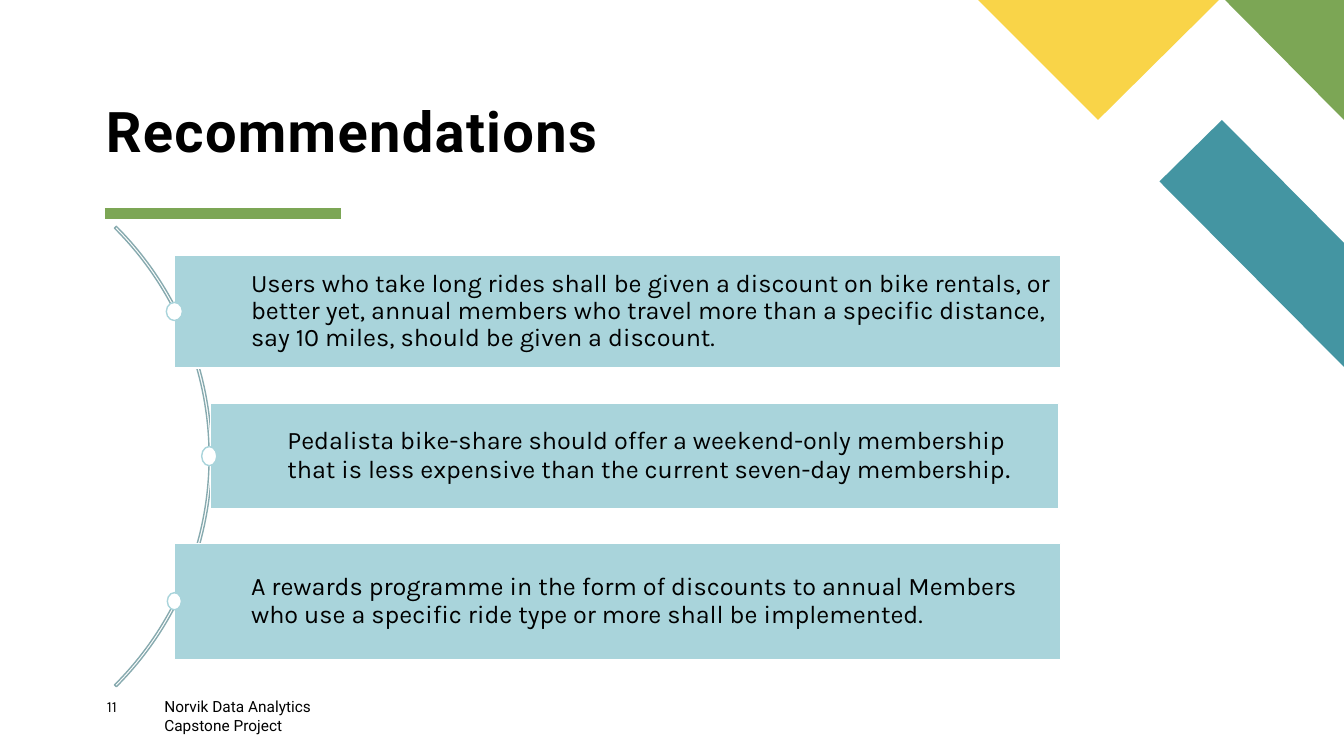
from pptx import Presentation
from pptx.dml.color import RGBColor
from pptx.enum.shapes import MSO_CONNECTOR, MSO_SHAPE
from pptx.enum.text import MSO_ANCHOR, PP_ALIGN
from pptx.util import Inches, Pt
from lxml.etree import SubElement
from pptx.oxml.ns import qn

COLORS = {
    "ink": "000000", "paper": "FFFFFF", "green": "7CA655", "teal": "4495A2",
    "yellow": "F9D448", "panel": "A9D4DB", "arc": "87AAAF",
}
TITLE = "Recommendations"
FOOTER = [
    ("11", 1.06, 0.57, "Karla"),
    ("Norvik Data Analytics Capstone Project", 1.63, 1.64, "Roboto"),
]
PANELS = [
    ([("Users who take long rides shall\u00a0be given a discount on bike rentals, "
       "or better yet, annual members who travel more than a specific distance, "
       "say 10 miles, should be given a discount.", 18)],
     (1.73, 2.53, 8.79, 1.12), (1.65, 3, 0.16, 0.18)),
    ([("Pedalista bike-share should offer a weekend-only membership that is less "
       "expensive than the current seven-day membership", 18), (".", 20)],
     (2.09, 4, 8.41, 1.05), (2, 4.43, 0.15, 0.19)),
    ([("A rewards programme in the form of discounts to annual Members who use a "
       "specific ride type or more shall\u00a0be implemented.", 18)],
     (1.73, 5.39, 8.79, 1.15), (1.66, 5.88, 0.14, 0.17)),
]
CORNERS = [
    ("teal", [(13.33, 3.64), (13.33, 2.41), (12.12, 1.19), (11.5, 1.8)]),
    ("green", [(13.33, 1.19), (13.33, 0), (12.15, 0)]),
    ("yellow", [(9.7, 0), (10.89, 1.19), (12.09, 0)]),
]
ARC = (-4.36, 1.3, 6.46, 6.46)
BENDS = (189, 27, 0.004)

deck = Presentation()
deck.slide_width, deck.slide_height = Inches(13.33), Inches(7.5)
slide = deck.slides.add_slide(deck.slide_layouts[5])
shapes = slide.shapes


def tint(name):
    return RGBColor.from_string(COLORS[name])


def apply(item, values):
    for key, value in values.items():
        setattr(item, key, value)


def place(item, box):
    names = ("left", "top", "width", "height")
    apply(item, dict(zip(names, map(Inches, box))))


def paint(shape, fill=None, line=None):
    shape.shadow.inherit = False
    if fill:
        shape.fill.solid()
        shape.fill.fore_color.rgb = tint(fill)
    else:
        shape.fill.background()
    if line:
        shape.line.color.rgb = tint(line)
        shape.line.width = Pt(1)
    else:
        shape.line.fill.background()


def write(shape, runs, face, inset=(0, 0, 0, 0), anchor=MSO_ANCHOR.TOP,
          space=1.0, bold=False):
    frame = shape.text_frame
    names = ("margin_left", "margin_top", "margin_right", "margin_bottom")
    apply(frame, dict(zip(names, map(Inches, inset))))
    apply(frame, {"word_wrap": True, "vertical_anchor": anchor})
    para = frame.paragraphs[0]
    apply(para, {"alignment": PP_ALIGN.LEFT, "line_spacing": space})
    for text, size in runs:
        run = para.add_run()
        run.text = text
        apply(run.font, {"name": face, "size": Pt(size), "bold": bold})
        run.font.color.rgb = tint("ink")
    return para


rule = shapes.add_connector(
    MSO_CONNECTOR.STRAIGHT, *map(Inches, (1.04, 2.12, 3.38, 2.12)))
rule.line.color.rgb = tint("green")
rule.line.width = Pt(8)
SubElement(rule._element.spPr, qn("a:effectLst"))

for color, points in CORNERS:
    spots = [(Inches(x), Inches(y)) for x, y in points]
    form = shapes.build_freeform(*spots[0])
    form.add_line_segments(spots[1:], close=True)
    paint(form.convert_to_shape(), color)

title = shapes.title
place(title, (1.05, 0.96, 5.4, 0.67))
para = write(title, [(TITLE, 40)], "Roboto", anchor=MSO_ANCHOR.BOTTOM,
             space=0.9, bold=True)
para.runs[0].font._element.set("spc", "100")

for text, left, width, face in FOOTER:
    note = shapes.add_textbox(*map(Inches, (left, 6.92, width, 0.27)))
    write(note, [(text, 11)], face)

arc = shapes.add_shape(MSO_SHAPE.BLOCK_ARC, *map(Inches, ARC))
for i, bend in enumerate(BENDS):
    arc.adjustments[i] = bend
paint(arc, line="arc")

for runs, box, dot in PANELS:
    panel = shapes.add_shape(MSO_SHAPE.RECTANGLE, *map(Inches, box))
    paint(panel, "panel", "paper")
    write(panel, runs, "Karla", (0.76, 0.05, 0.05, 0.05),
          MSO_ANCHOR.MIDDLE, 0.9)
    knob = shapes.add_shape(MSO_SHAPE.OVAL, *map(Inches, dot))
    paint(knob, "paper", "panel")

deck.save("out.pptx")
